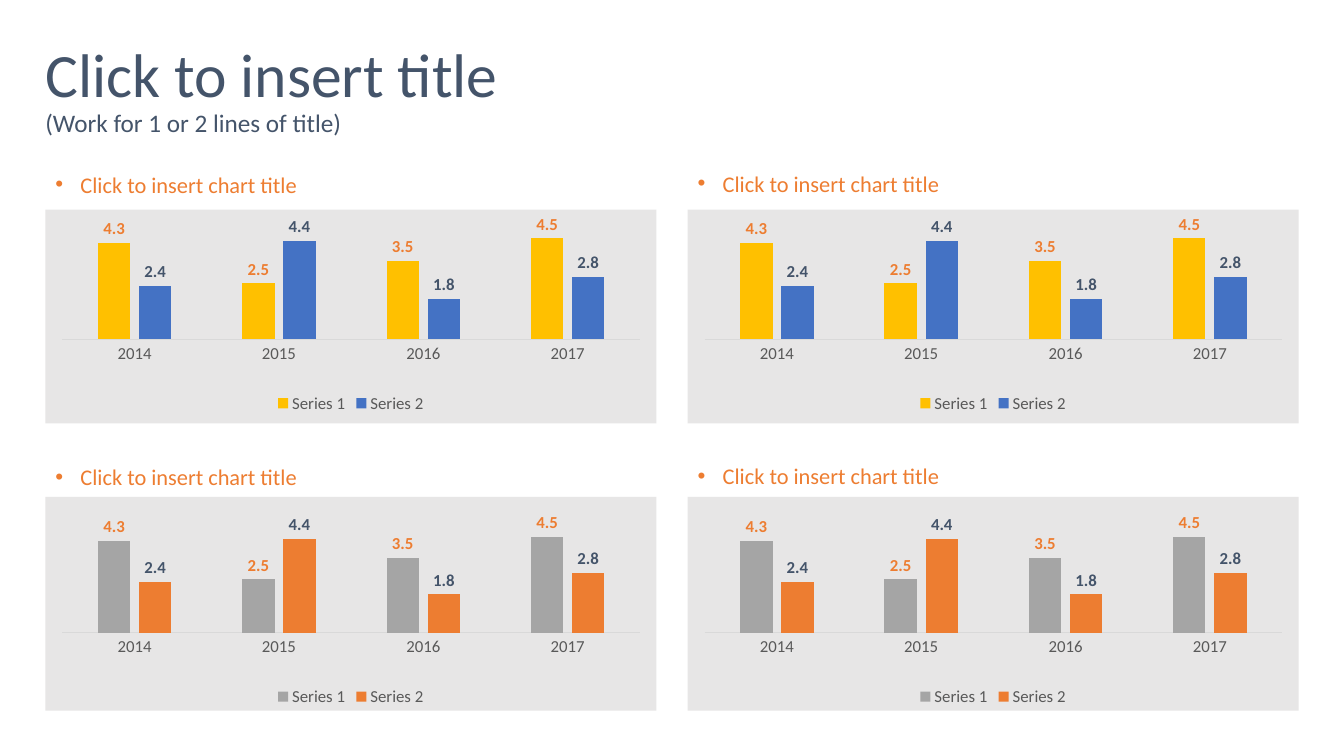
from lxml.etree import SubElement as Sub
from pptx import Presentation
from pptx.chart.data import CategoryChartData as Data
from pptx.dml.color import RGBColor as RGB
from pptx.enum.chart import XL_CHART_TYPE as Kind, XL_LABEL_POSITION as Spot
from pptx.enum.chart import XL_LEGEND_POSITION as Side, XL_TICK_MARK as Tick
from pptx.enum.shapes import MSO_SHAPE as Form
from pptx.enum.text import MSO_ANCHOR as Anchor
from pptx.oxml import parse_xml
from pptx.oxml.ns import nsdecls, qn
from pptx.util import Inches, Pt
from dataclasses import dataclass

TITLE = [("Click to insert title", 44), ("(Work for 1 or 2 lines of title)", 18)]
HEAD = "Click to insert chart title"
YEARS = ["2014", "2015", "2016", "2017"]
SERIES = {"Series 1": (4.3, 2.5, 3.5, 4.5), "Series 2": (2.4, 4.4, 1.8, 2.8)}
ROWS = [
    {"head": 1.56, "panel": 2.08, "chart": 1.99, "plot": (0.028, 0.123, 0.945, 0.518),
     "bars": ("FFC000", "4472C4")},
    {"head": 4.46, "panel": 4.93, "chart": 4.9, "plot": (0.028, 0.149, 0.945, 0.492),
     "bars": ("A5A5A5", "ED7D31")},
]
COLS = [(0.45, 0), (6.82, -0.01)]
WIDE = 6.06


@dataclass
class Theme:
    face: str = "Calibri"
    navy: str = "44546A"
    amber: str = "ED7D31"
    panel: str = "E7E6E6"
    gray: str = "595959"
    rule: str = "D9D9D9"
    head: int = 16
    label: int = 12


look = Theme()


def style(font, size, color, bold=False):
    font.name, font.size, font.bold = look.face, Pt(size), bold
    font.color.rgb = RGB.from_string(color)


def paint(fill, color):
    fill.solid()
    fill.fore_color.rgb = RGB.from_string(color)


def text(slide, lines, box, color, space, bullet=False, pad=None, anchor=Anchor.TOP):
    frame = slide.shapes.add_textbox(*map(Inches, box)).text_frame
    frame.word_wrap = True
    frame.vertical_anchor = anchor
    if pad is not None:
        frame.margin_left = frame.margin_right = Inches(pad)
        frame.margin_top = frame.margin_bottom = Inches(pad)
    para = frame.paragraphs[0]
    if bullet:
        props = para._p.get_or_add_pPr()
        props.set("marL", str(Inches(0.25)))
        props.set("indent", str(-Inches(0.25)))
        Sub(props, qn("a:buFont")).set("typeface", "Arial")
        Sub(props, qn("a:buChar")).set("char", "•")
    para.line_spacing = space
    for i, (words, size) in enumerate(lines):
        if i:
            para.add_line_break()
        run = para.add_run()
        run.text = words
        style(run.font, size, color)


def panel(slide, left, top):
    rect = slide.shapes.add_shape(
        Form.RECTANGLE, *map(Inches, (left, top, WIDE, 2.12)))
    rect.shadow.inherit = False
    paint(rect.fill, look.panel)
    rect.line.fill.background()


def place(chart, plot):
    area = chart._chartSpace.chart.plotArea
    for old in area.findall(qn("c:layout")):
        area.remove(old)
    names = ("x", "y", "w", "h")
    modes = "".join(f'<c:{n}Mode val="edge"/>' for n in names[:2])
    sizes = "".join(f'<c:{n} val="{v}"/>' for n, v in zip(names, plot))
    area.insert(0, parse_xml(
        f'<c:layout {nsdecls("c")}><c:manualLayout><c:layoutTarget val="inner"/>'
        f'{modes}{sizes}</c:manualLayout></c:layout>'))


def graph(slide, left, row):
    data = Data()
    data.categories = YEARS
    for name, vals in SERIES.items():
        data.add_series(name, vals)
    box = map(Inches, (left, row["chart"], WIDE, 2.15))
    chart = slide.shapes.add_chart(Kind.COLUMN_CLUSTERED, *box, data).chart
    chart.has_title = False
    style(chart.font, 10, "000000")
    chart.has_legend = True
    chart.legend.position = Side.BOTTOM
    chart.legend.include_in_layout = False
    style(chart.legend.font, look.label, look.gray)

    years = chart.category_axis
    years.major_tick_mark = years.minor_tick_mark = Tick.NONE
    years.format.line.width = Pt(0.75)
    paint(years.format.line.fill, look.rule)
    style(years.tick_labels.font, look.label, look.gray)
    scale = chart.value_axis
    scale.minimum_scale, scale.maximum_scale = 0, 5
    scale.has_major_gridlines = False
    scale.visible = False

    bars = chart.plots[0]
    bars.gap_width, bars.overlap = 219, -27
    bars.vary_by_categories = False
    for ser, color, ink in zip(bars.series, row["bars"], (look.amber, look.navy)):
        paint(ser.format.fill, color)
        ser.invert_if_negative = False
        tags = ser.data_labels
        tags.show_value = True
        tags.position = Spot.OUTSIDE_END
        style(tags.font, look.label, ink, bold=True)
    place(chart, row["plot"])


def main():
    deck = Presentation()
    deck.slide_width, deck.slide_height = Inches(13.33), Inches(7.5)
    slide = deck.slides.add_slide(deck.slide_layouts[6])
    text(slide, TITLE, (0.45, 0.44, 12.05, 0.94), look.navy, 0.9, pad=0)
    for row in ROWS:
        for left, shift in COLS:
            panel(slide, left, row["panel"])
            graph(slide, left, row)
            text(slide, [(HEAD, look.head)], (left, row["head"] + shift, WIDE, 0.45),
                 look.amber, Pt(18), bullet=True, anchor=Anchor.BOTTOM)
    deck.save("out.pptx")


if __name__ == "__main__":
    main()
